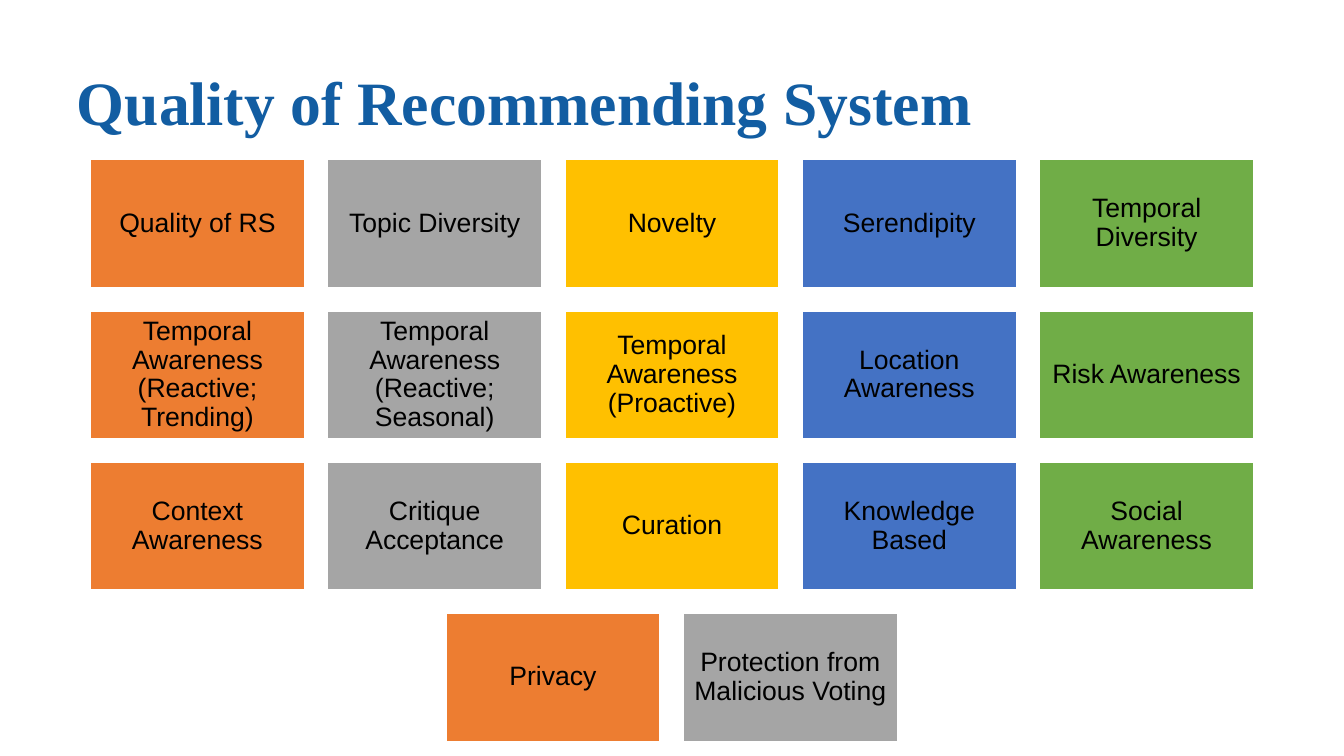
from dataclasses import dataclass

from pptx import Presentation
from pptx.dml.color import RGBColor
from pptx.enum.shapes import MSO_SHAPE
from pptx.enum.text import MSO_ANCHOR, PP_ALIGN
from pptx.slide import Slide
from pptx.text.text import TextFrame
from pptx.util import Emu, Pt

SLIDE_W, SLIDE_H = 1920, 1080
EMU_PER_PX = 6350

COLORS = {
    "title": "125DA2",
    "text": "000000",
    "border": "FFFFFF",
    "orange": "ED7D31",
    "gray": "A5A5A5",
    "gold": "FFC000",
    "blue": "4472C4",
    "green": "70AD47",
}
COLUMN_FILLS = ["orange", "gray", "gold", "blue", "green"]

TILE_W, TILE_H = 308, 185
GAP = 31
GRID_TOP = 227

QUALITY_ROWS = [
    ["Quality of RS", "Topic Diversity", "Novelty", "Serendipity",
     "Temporal Diversity"],
    ["Temporal Awareness (Reactive; Trending)",
     "Temporal Awareness (Reactive; Seasonal)",
     "Temporal Awareness (Proactive)", "Location Awareness",
     "Risk Awareness"],
    ["Context Awareness", "Critique Acceptance", "Curation",
     "Knowledge Based", "Social Awareness"],
    ["Privacy", "Protection from Malicious Voting"],
]


@dataclass(frozen=True)
class TextStyle:
    font: str
    size: int
    color: str
    bold: bool
    align: PP_ALIGN
    inset_x: int
    inset_y: int


@dataclass(frozen=True)
class Tile:
    label: str
    left: int
    top: int
    fill: str


TITLE_STYLE = TextStyle("Times New Roman", 44, "title", True, PP_ALIGN.LEFT, 14, 7)
TILE_STYLE = TextStyle("Arial", 19, "text", False, PP_ALIGN.CENTER, 11, 11)


def px(value: int) -> Emu:
    return Emu(value * EMU_PER_PX)


def rgb(name: str) -> RGBColor:
    return RGBColor.from_string(COLORS[name])


def write_text(tf: TextFrame, text: str, style: TextStyle) -> None:
    tf.word_wrap = True
    tf.vertical_anchor = MSO_ANCHOR.MIDDLE
    tf.margin_left = tf.margin_right = px(style.inset_x)
    tf.margin_top = tf.margin_bottom = px(style.inset_y)
    p = tf.paragraphs[0]
    p.alignment = style.align
    p.line_spacing = 0.9
    r = p.add_run()
    r.text = text
    r.font.name = style.font
    r.font.size = Pt(style.size)
    r.font.bold = style.bold
    r.font.color.rgb = rgb(style.color)


def layout_tiles(rows: list[list[str]]) -> list[Tile]:
    """Centre each row on the slide and colour its tiles in order."""
    tiles = []
    for row, labels in enumerate(rows):
        row_w = len(labels) * (TILE_W + GAP) - GAP
        left = (SLIDE_W - row_w) // 2
        top = GRID_TOP + row * (TILE_H + GAP)
        for col, (label, fill) in enumerate(zip(labels, COLUMN_FILLS)):
            tiles.append(Tile(label, left + col * (TILE_W + GAP), top, fill))
    return tiles


def draw_tile(s: Slide, tile: Tile) -> None:
    sp = s.shapes.add_shape(MSO_SHAPE.RECTANGLE, px(tile.left), px(tile.top),
                            px(TILE_W), px(TILE_H))
    sp.shadow.inherit = False
    sp.fill.solid()
    sp.fill.fore_color.rgb = rgb(tile.fill)
    sp.line.color.rgb = rgb("border")
    sp.line.width = Pt(2)
    write_text(sp.text_frame, tile.label, TILE_STYLE)


def main() -> None:
    prs = Presentation()
    prs.slide_width, prs.slide_height = px(SLIDE_W), px(SLIDE_H)
    s = prs.slides.add_slide(prs.slide_layouts[6])

    # Title
    title = s.shapes.add_textbox(px(96), px(40), px(1728), px(220))
    write_text(title.text_frame, "Quality of Recommending System", TITLE_STYLE)

    # Quality tiles
    for tile in layout_tiles(QUALITY_ROWS):
        draw_tile(s, tile)

    prs.save("out.pptx")


if __name__ == "__main__":
    main()
